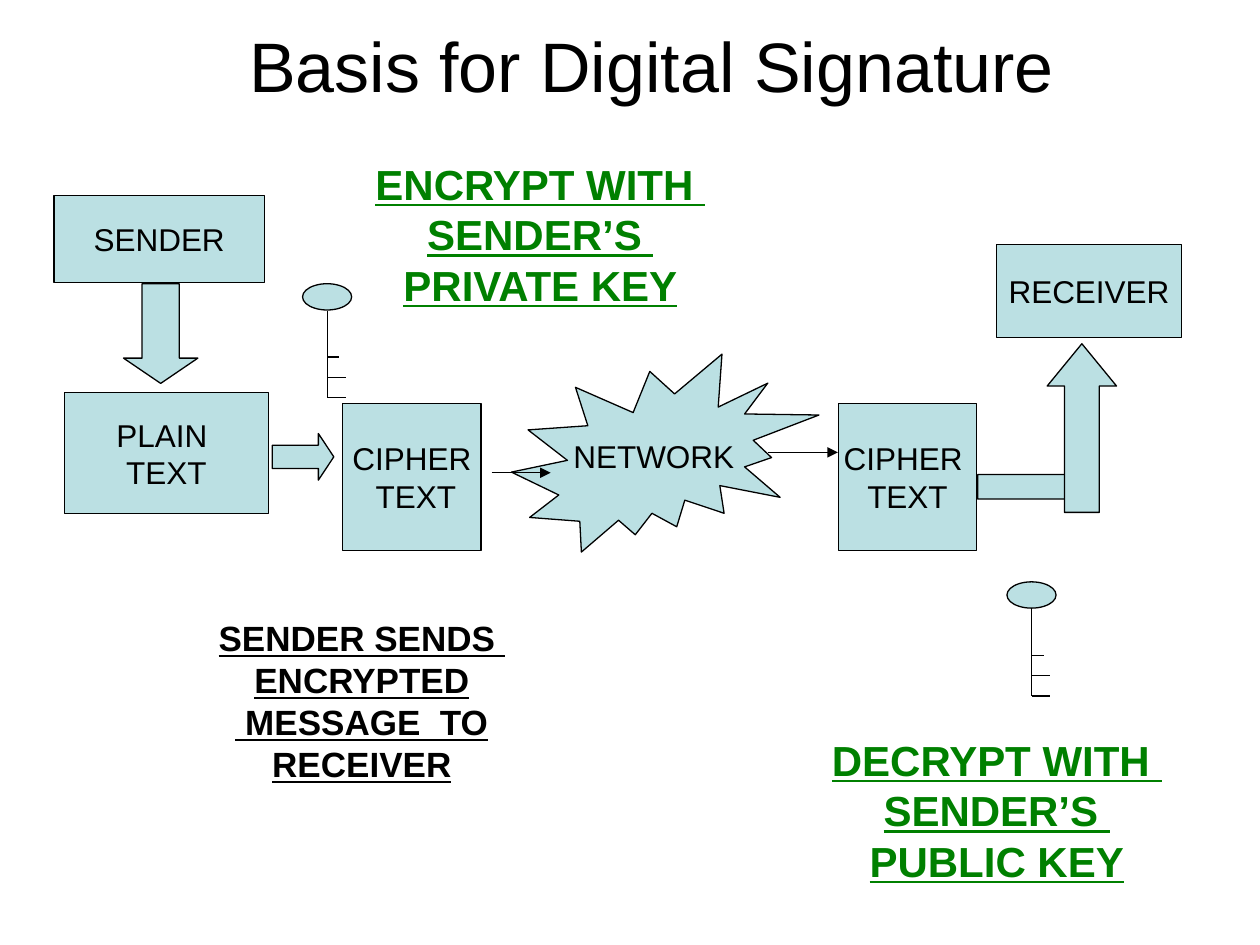
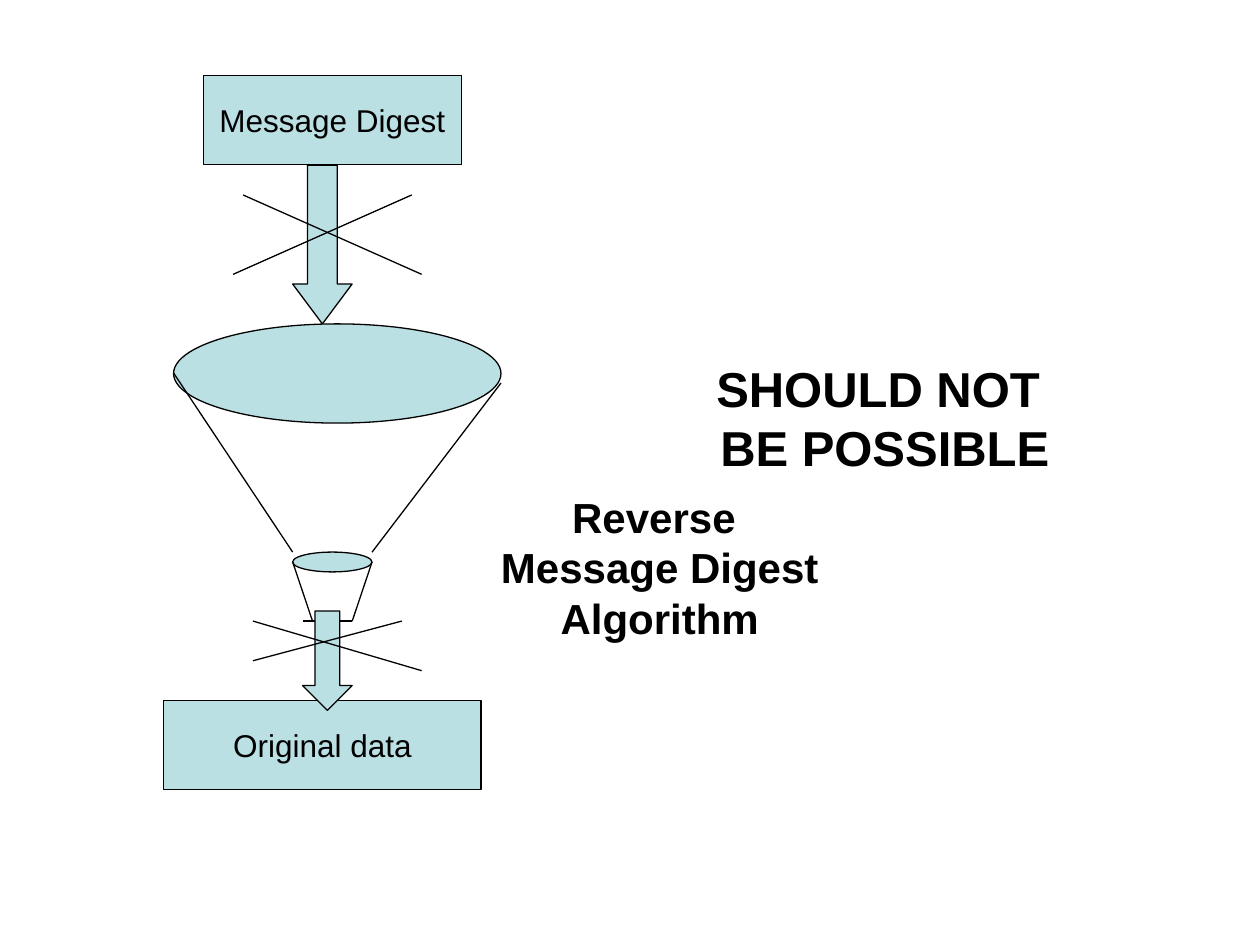
"""Build two slides on digital signatures and one-way message digests."""
from lxml.etree import SubElement
from pptx import Presentation
from pptx.dml.color import RGBColor
from pptx.enum.shapes import MSO_CONNECTOR, MSO_SHAPE as Shp
from pptx.enum.text import MSO_ANCHOR, PP_ALIGN
from pptx.oxml.ns import qn
from pptx.util import Cm, Pt

COLORS = {"ink": "000000", "fill": "BBE0E3", "key": "008000"}


def rgb(name):
    return RGBColor.from_string(COLORS[name])


def write(tf, text, size=18, color="ink", bold=False, underline=False, wrap=False):
    tf.word_wrap = wrap
    tf.vertical_anchor = MSO_ANCHOR.MIDDLE
    for i, line in enumerate(text.split("\n")):
        p = tf.paragraphs[0] if i == 0 else tf.add_paragraph()
        p.alignment = PP_ALIGN.CENTER
        r = p.add_run()
        r.text = line
        r.font.name, r.font.size = "Arial", Pt(size)
        r.font.bold, r.font.underline = bold, underline
        r.font.color.rgb = rgb(color)


class Deck:
    def __init__(self):
        self.prs = Presentation()
        self.prs.slide_width, self.prs.slide_height = Cm(25.4), Cm(19.05)
        self.s = None

    def slide(self):
        self.s = self.prs.slides.add_slide(self.prs.slide_layouts[6])

    def text(self, x, y, w, h, text, **fmt):
        tb = self.s.shapes.add_textbox(Cm(x), Cm(y), Cm(w), Cm(h))
        write(tb.text_frame, text, **fmt)

    def title(self, text):
        self.text(1.7, 0.53, 22.86, 1.55, text, size=40, wrap=True)

    def shape(self, kind, x, y, w, h, text="", head=None):
        sp = self.s.shapes.add_shape(kind, Cm(x), Cm(y), Cm(w), Cm(h))
        sp.shadow.inherit = False
        sp.fill.solid()
        sp.fill.fore_color.rgb = rgb("fill")
        sp.line.color.rgb = rgb("ink")
        sp.line.width = Pt(0.75)
        if head:
            sp.adjustments[0], sp.adjustments[1] = 0.5, head
        if text:
            write(sp.text_frame, text)

    def box(self, x, y, w, h, text):
        self.shape(Shp.RECTANGLE, x, y, w, h, text)

    def note(self, x, y, w, h, text, **fmt):
        sp = self.s.shapes.add_shape(Shp.OVAL, Cm(x), Cm(y), Cm(w), Cm(h))
        sp.shadow.inherit = False
        sp.fill.background()
        sp.line.fill.background()
        write(sp.text_frame, text, bold=True, underline=True, **fmt)

    def line(self, x1, y1, x2, y2, arrow=False):
        cx = self.s.shapes.add_connector(
            MSO_CONNECTOR.STRAIGHT, Cm(x1), Cm(y1), Cm(x2), Cm(y2))
        cx.line.color.rgb = rgb("ink")
        cx.line.width = Pt(0.75)
        if arrow:
            SubElement(cx.line._get_or_add_ln(), qn("a:tailEnd"), type="triangle")
        SubElement(cx._element.spPr, qn("a:effectLst"))

    def key(self, x, y):
        self.shape(Shp.OVAL, x, y, 0.99, 0.53)
        stem = x + 0.5
        self.line(stem, y + 0.54, stem, y + 2.3)
        for drop, length in ((1.48, 0.24), (1.89, 0.37), (2.3, 0.37)):
            self.line(stem, y + drop, stem + length, y + drop)


def signature_slide(d):
    d.slide()
    d.title("Basis for Digital Signature")
    d.note(7.49, 3.12, 6.81, 3.2, "ENCRYPT WITH \nSENDER’S \nPRIVATE KEY",
           size=24, color="key")
    d.box(1.09, 3.94, 4.24, 1.75, "SENDER")
    d.box(1.3, 7.92, 4.11, 2.44, "PLAIN \nTEXT")
    d.shape(Shp.DOWN_ARROW, 2.49, 5.72, 1.5, 2.01, head=0.34)
    d.box(6.91, 8.13, 2.79, 2.97, "CIPHER\n TEXT")
    d.key(6.1, 5.72)
    d.box(20.09, 4.93, 3.73, 1.88, "RECEIVER")
    d.shape(Shp.RIGHT_ARROW, 5.49, 8.74, 1.24, 0.94, head=0.33)
    d.note(4.5, 11.73, 5.59, 4.8,
           "SENDER SENDS \nENCRYPTED\n MESSAGE  TO\nRECEIVER", size=20)
    d.key(20.3, 11.73)
    d.shape(Shp.EXPLOSION2, 10.31, 7.14, 6.2, 3.99, "NETWORK")
    d.line(9.91, 9.53, 11.1, 9.53, arrow=True)
    d.line(15.49, 9.12, 16.89, 9.12, arrow=True)
    d.box(16.9, 8.13, 2.79, 2.97, "CIPHER \nTEXT")
    d.shape(Shp.RIGHT_ARROW, 19.71, 9.32, 2.39, 0.99, head=0.6)
    d.note(16.69, 14.73, 6.81, 3.2, "DECRYPT WITH \nSENDER’S \nPUBLIC KEY",
           size=24, color="key")
    d.shape(Shp.UP_ARROW, 21.11, 6.93, 1.4, 3.4, head=0.61)


def digest_slide(d):
    d.slide()
    d.box(4.1, 1.52, 5.2, 1.8, "Message Digest")
    d.shape(Shp.DOWN_ARROW, 5.9, 3.33, 1.2, 3.2, head=0.67)
    d.shape(Shp.OVAL, 3.5, 6.53, 6.6, 2)
    d.shape(Shp.OVAL, 5.9, 11.13, 1.6, 0.4)
    funnel = [(3.5, 7.52, 5.9, 11.13), (10.1, 7.72, 7.5, 11.13),
              (5.9, 11.33, 6.3, 12.52), (7.5, 11.33, 7.1, 12.52),
              (6.1, 12.52, 7.1, 12.52)]
    for edge in funnel:
        d.line(*edge)
    d.box(3.3, 14.12, 6.4, 1.8, "Original data")
    d.shape(Shp.DOWN_ARROW, 6.1, 12.32, 1, 2, head=0.5)
    crosses = [(4.9, 3.93, 8.5, 5.53), (4.7, 5.53, 8.3, 3.93),
               (5.1, 12.52, 8.5, 13.52), (8.1, 12.52, 5.1, 13.32)]
    for stroke in crosses:
        d.line(*stroke)
    d.text(11.9, 2.12, 11.6, 12.6, "SHOULD NOT\n BE POSSIBLE", size=28, bold=True)
    d.text(9.6, 9.73, 7.4, 3.4, "Reverse \nMessage Digest\nAlgorithm",
           size=24, bold=True)


def main():
    d = Deck()
    signature_slide(d)
    digest_slide(d)
    d.prs.save("out.pptx")


if __name__ == "__main__":
    main()
